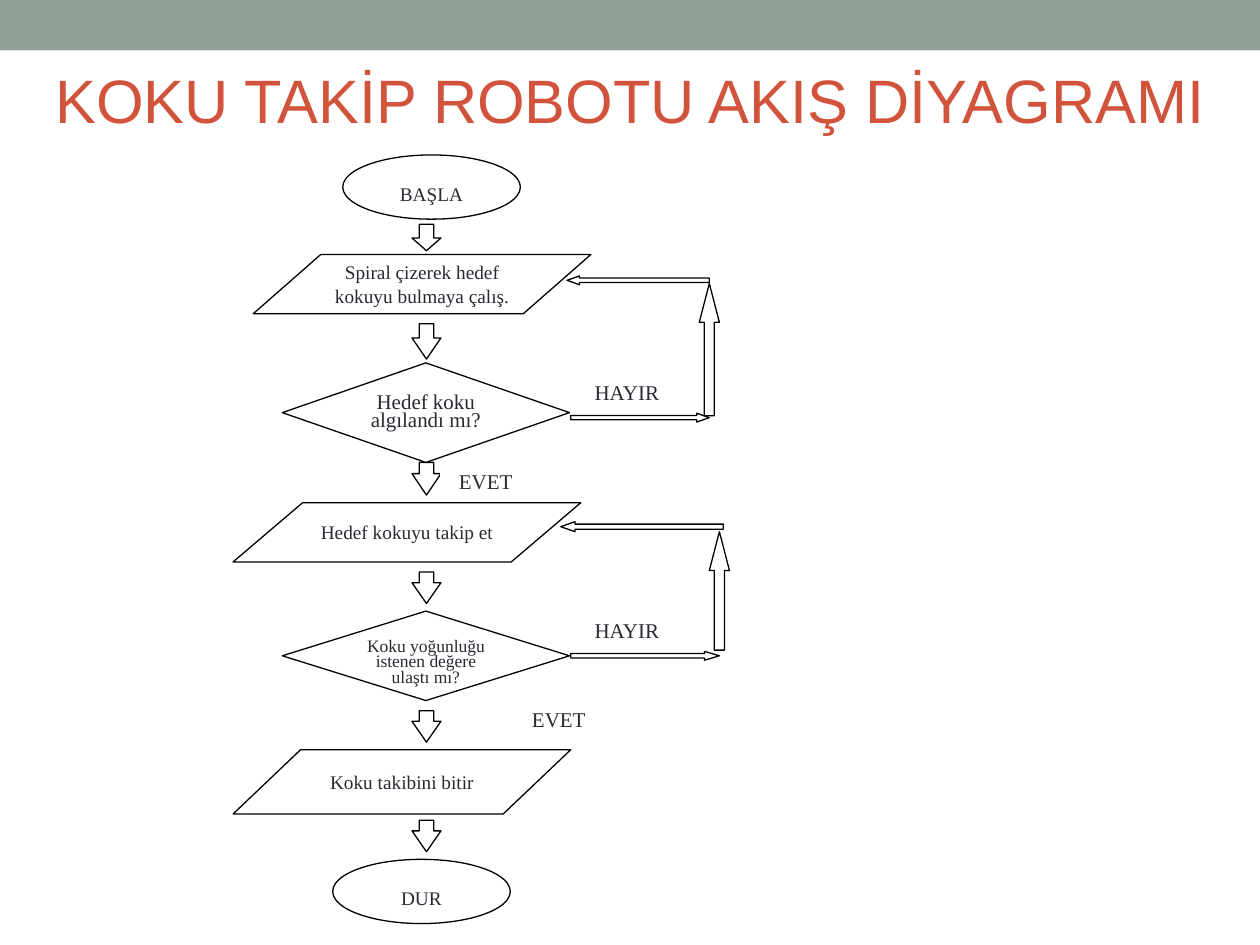
import pptx
import pptx.util
import pptx.dml.color
import pptx.enum.shapes
import pptx.enum.text

Inches = pptx.util.Inches
SHAPE = pptx.enum.shapes.MSO_SHAPE
ANCHOR = pptx.enum.text.MSO_ANCHOR
CENTER = pptx.enum.text.PP_ALIGN.CENTER

THEME = {
    "band": "93A299", "title": "D2533C", "text": "292934",
    "paper": "FFFFFF", "outline": "000000",
    "title_font": "Arial", "body_font": "Times New Roman",
    "title_size": 35, "label_size": 12, "step_size": 11, "small_size": 10,
    "line_width": 0.75,
}

TITLE = "KOKU TAKİP ROBOTU AKIŞ DİYAGRAMI"

STEPS = [
    ("BAŞLA", SHAPE.OVAL, (2.72, 1.23, 1.41, 0.51), {"spacing": 1.5}),
    ("Spiral çizerek hedef kokuyu bulmaya çalış.", SHAPE.FLOWCHART_DATA,
     (2.01, 2.02, 2.68, 0.47), {}),
    ("Hedef koku algılandı mı?", SHAPE.FLOWCHART_DECISION,
     (2.24, 2.88, 2.28, 0.79), {"spacing": 0.75, "size": THEME["label_size"]}),
    ("Hedef kokuyu takip et", SHAPE.FLOWCHART_DATA,
     (1.85, 3.99, 2.76, 0.47), {"spacing": 1.5}),
    ("Koku yoğunluğu istenen değere ulaştı mı?", SHAPE.FLOWCHART_DECISION,
     (2.24, 4.85, 2.28, 0.71), {"spacing": 0.75, "size": THEME["small_size"]}),
    ("Koku takibini bitir", SHAPE.FLOWCHART_DATA,
     (1.85, 5.95, 2.68, 0.51), {"anchor": ANCHOR.MIDDLE}),
    ("DUR", SHAPE.OVAL, (2.64, 6.82, 1.41, 0.51), {"spacing": 1.5}),
]

DOWN_ARROW_LEFT, DOWN_ARROW_WIDTH = 3.27, 0.23
DOWN_ARROWS = [
    (1.78, 0.21, 0.48), (2.57, 0.28, 0.73), (3.67, 0.26, 0.74),
    (4.54, 0.25, 0.72), (5.64, 0.25, 0.72), (6.51, 0.25, 0.72),
]

LABELS = [
    ("HAYIR", (4.45, 2.96, 1.05, 0.25)),
    ("EVET", (3.5, 3.67, 0.71, 0.25)),
    ("HAYIR", (4.45, 4.85, 1.05, 0.25)),
    ("EVET", (4.06, 5.56, 0.75, 0.25)),
]

LOOP_ARROWS = [
    (SHAPE.RIGHT_ARROW, (4.53, 3.28, 1.1, 0.07), 1.43),
    (SHAPE.UP_ARROW, (5.55, 2.25, 0.16, 1.05), 1.93),
    (SHAPE.LEFT_ARROW, (4.5, 2.19, 1.13, 0.07), 1.43),
    (SHAPE.RIGHT_ARROW, (4.53, 5.17, 1.18, 0.07), 1.69),
    (SHAPE.UP_ARROW, (5.63, 4.22, 0.16, 0.94), 1.93),
    (SHAPE.LEFT_ARROW, (4.45, 4.14, 1.29, 0.08), 1.43),
]


def color(name):
    return pptx.dml.color.RGBColor.from_string(THEME[name])


def write(shape, text, size=THEME["step_size"], font="body_font", ink="text",
          spacing=1.0, anchor=ANCHOR.TOP, side_margin=0.05):
    frame = shape.text_frame
    frame.word_wrap = True
    frame.vertical_anchor = anchor
    frame.margin_left = frame.margin_right = Inches(side_margin)
    frame.margin_top = frame.margin_bottom = Inches(0.05)
    paragraph = frame.paragraphs[0]
    paragraph.alignment = CENTER
    paragraph.line_spacing = spacing
    run = paragraph.add_run()
    run.text = text
    run.font.size = pptx.util.Pt(size)
    run.font.name = THEME[font]
    run.font.color.rgb = color(ink)


def add_box(slide, kind, place, fill="paper", line="outline"):
    shape = slide.shapes.add_shape(kind, *map(Inches, place))
    shape.shadow.inherit = False
    shape.fill.solid()
    shape.fill.fore_color.rgb = color(fill)
    shape.line.color.rgb = color(line)
    shape.line.width = pptx.util.Pt(THEME["line_width"])
    return shape


def add_block_arrow(slide, kind, place, head):
    arrow = add_box(slide, kind, place)
    arrow.adjustments[0] = 0.5
    arrow.adjustments[1] = head


def main():
    presentation = pptx.Presentation()
    presentation.slide_width = Inches(10)
    presentation.slide_height = Inches(7.5)
    slide = presentation.slides.add_slide(presentation.slide_layouts[5])

    band = add_box(slide, SHAPE.RECTANGLE, (0, 0, 10, 0.4), fill="band")
    band.line.fill.background()

    title = slide.shapes.title
    title.left, title.top, title.width, title.height = map(
        Inches, (0.28, 0.44, 9.45, 0.69))
    write(title, TITLE, size=THEME["title_size"], font="title_font",
          ink="title", side_margin=0.1)

    for top, height, head in DOWN_ARROWS:
        place = (DOWN_ARROW_LEFT, top, DOWN_ARROW_WIDTH, height)
        add_block_arrow(slide, SHAPE.DOWN_ARROW, place, head)

    for text, kind, place, style in STEPS:
        write(add_box(slide, kind, place), text, **style)

    for text, place in LABELS:
        label = add_box(slide, SHAPE.RECTANGLE, place, line="paper")
        write(label, text, size=THEME["label_size"])

    for kind, place, head in LOOP_ARROWS:
        add_block_arrow(slide, kind, place, head)

    presentation.save("out.pptx")


if __name__ == "__main__":
    main()
